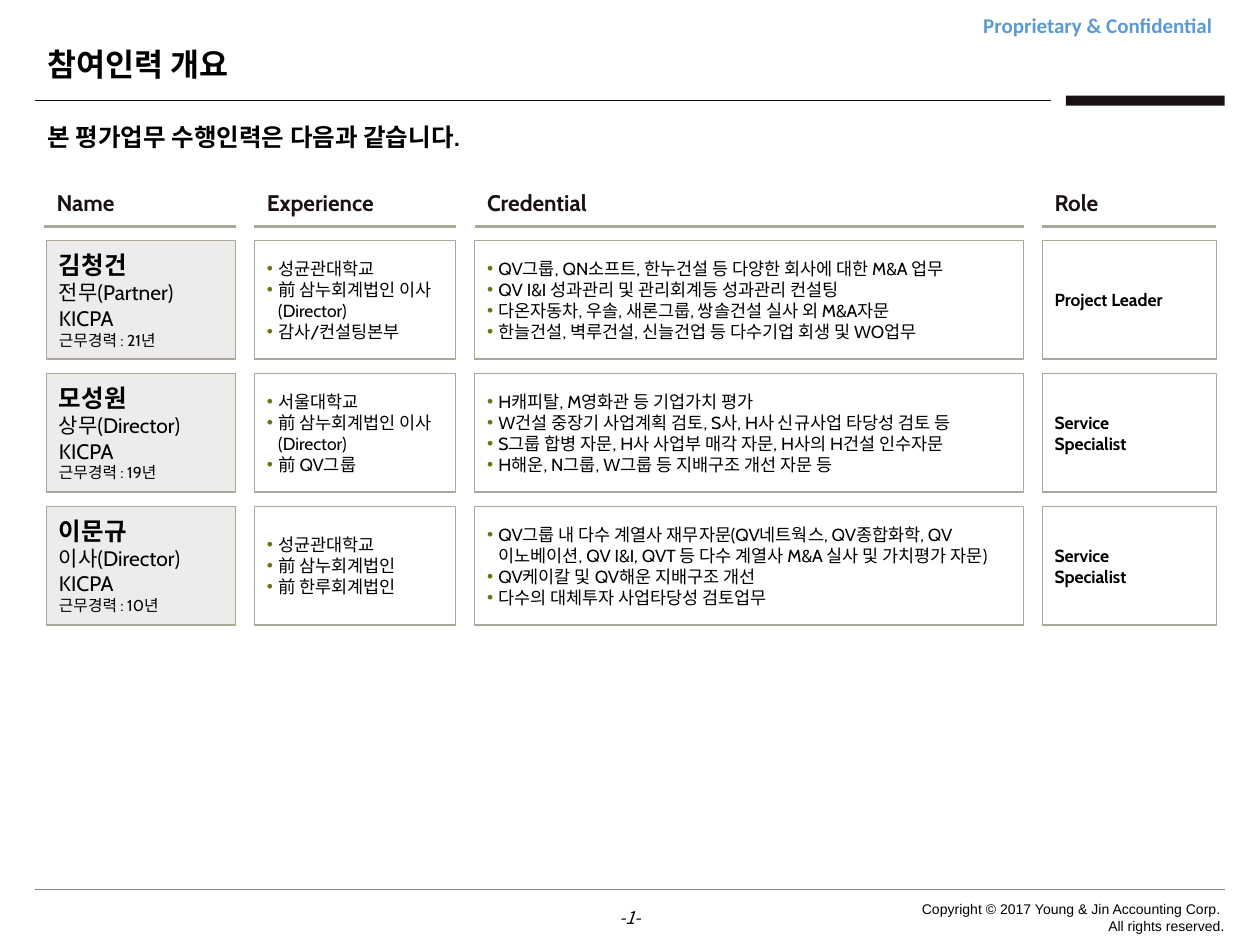
"""Build the slide that introduces the staff taking part in the valuation."""
from lxml.etree import SubElement
from pptx import Presentation
from pptx.dml.color import RGBColor as Rgb
from pptx.enum.shapes import MSO_CONNECTOR as Link, MSO_SHAPE as Form
from pptx.enum.text import MSO_ANCHOR as Anchor, PP_ALIGN as Align
from pptx.oxml.ns import qn
from pptx.util import Cm, Pt

HUE = {"ink": "1B1112", "text": "000000", "blue": "5B9BD5", "edge": "AAA998",
       "pale": "EEECEA", "white": "FFFFFF", "gray": "808080", "dot": "707014"}


def write(shape, rows, hue="text", face="Cabin", align=Align.LEFT,
          anchor=Anchor.MIDDLE, dots=False, wrap=True):
    frame = shape.text_frame
    frame.word_wrap = wrap
    frame.vertical_anchor = anchor
    for i, (text, size, bold) in enumerate(rows):
        para = frame.add_paragraph() if i else frame.paragraphs[0]
        para.text = text
        para.alignment = align
        if dots:
            props = para._p.get_or_add_pPr()
            props.set("marL", str(Cm(0.23)))
            props.set("indent", str(Cm(-0.23)))
            tint = SubElement(props, qn("a:buClr"))
            SubElement(tint, qn("a:srgbClr"), val=HUE["dot"])
            SubElement(props, qn("a:buFont"), typeface="Arial")
            SubElement(props, qn("a:buChar"), char="•")
        font = para.font
        font.name, font.size, font.bold = face, Pt(size), bold
        font.color.rgb = Rgb.from_string(HUE[hue])
    return frame


def rule(left, right, top, hue, width):
    line = slide.shapes.add_connector(
        Link.STRAIGHT, Cm(left), Cm(top), Cm(right), Cm(top))
    line.line.color.rgb = Rgb.from_string(HUE[hue])
    line.line.width = Pt(width)
    SubElement(line._element.spPr, qn("a:effectLst"))


deck = Presentation()
deck.slide_width, deck.slide_height = Cm(25.4), Cm(19.05)
slide = deck.slides.add_slide(deck.slide_layouts[6])
shapes = slide.shapes

rule(0.71, 24.69, 17.93, "gray", 0.75)
rule(0.71, 21.18, 2.03, "ink", 0.5)
bar = shapes.add_shape(Form.RECTANGLE, Cm(21.49), Cm(1.93), Cm(3.2), Cm(0.2))
bar.shadow.inherit = False
bar.fill.solid()
bar.fill.fore_color.rgb = Rgb.from_string(HUE["ink"])
bar.line.fill.background()

mark = shapes.add_textbox(Cm(18.69), Cm(0.13), Cm(6), Cm(0.78))
write(mark, [("Proprietary & Confidential", 12, True)], "blue", "Calibri",
      Align.RIGHT, Anchor.TOP)
legal = shapes.add_textbox(Cm(15.98), Cm(18.16), Cm(8.71), Cm(0.69))
frame = write(legal, [("Copyright © 2017 Young & Jin Accounting Corp. ", 8, False),
                      ("All rights reserved.", 8, False)],
              face="Arial", align=Align.RIGHT, anchor=Anchor.TOP)
frame.margin_left = frame.margin_right = frame.margin_top = frame.margin_bottom = 0
page = shapes.add_textbox(Cm(9.7), Cm(18.16), Cm(6), Cm(0.69))
frame = write(page, [("-1-", 10, False)], face="Noto Sans CJK KR", align=Align.CENTER)
frame.paragraphs[0].font.italic = True

title = shapes.add_textbox(Cm(0.71), Cm(0.76), Cm(18), Cm(1.17))
frame = write(title, [("참여인력 개요", 18, True)])
frame.paragraphs[0].line_spacing = 0.9
lead = shapes.add_textbox(Cm(0.71), Cm(2.34), Cm(24), Cm(0.86))
write(lead, [("본 평가업무 수행인력은 다음과 같습니다.", 14, True)], anchor=Anchor.TOP)

COLS = [("Name", 0.94, 3.81), ("Experience", 5.13, 4.06),
        ("Credential", 9.57, 11.07), ("Role", 21.01, 3.51)]
STAFF = [
    (["김청건", "전무(Partner)", "KICPA", "근무경력 : 21년"],
     ["성균관대학교", "前 삼누회계법인 이사(Director)", "감사/컨설팅본부"],
     ["QV그룹, QN소프트, 한누건설 등 다양한 회사에 대한 M&A 업무",
      "QV I&I 성과관리 및 관리회계등 성과관리 컨설팅",
      "다온자동차, 우솔, 새론그룹, 쌍솔건설 실사 외 M&A자문",
      "한늘건설, 벽루건설, 신늘건업 등 다수기업 회생 및 WO업무"],
     ["Project Leader"]),
    (["모성원", "상무(Director)", "KICPA", "근무경력 : 19년"],
     ["서울대학교", "前 삼누회계법인 이사(Director)", "前 QV그룹"],
     ["H캐피탈, M영화관 등 기업가치 평가",
      "W건설 중장기 사업계획 검토, S사, H사 신규사업 타당성 검토 등",
      "S그룹 합병 자문, H사 사업부 매각 자문, H사의 H건설 인수자문",
      "H해운, N그룹, W그룹 등 지배구조 개선 자문 등"],
     ["Service", "Specialist"]),
    (["이문규", "이사(Director)", "KICPA", "근무경력 : 10년"],
     ["성균관대학교", "前 삼누회계법인", "前 한루회계법인"],
     ["QV그룹 내 다수 계열사 재무자문(QV네트웍스, QV종합화학, QV이노베이션, "
      "QV I&I, QVT 등 다수 계열사 M&A 실사 및 가치평가 자문)",
      "QV케이칼 및 QV해운 지배구조 개선",
      "다수의 대체투자 사업타당성 검토업무"],
     ["Service", "Specialist"]),
]

for j, (name, left, width) in enumerate(COLS):
    start = left if j else 0.89
    head = shapes.add_textbox(Cm(start), Cm(3.63), Cm(width), Cm(0.91))
    write(head, [(name, 12.9, True)], "ink")
    rule(start, left + width, 4.57, "edge", 1.5)
    for i, person in enumerate(STAFF):
        cell = shapes.add_shape(Form.RECTANGLE, Cm(left), Cm(4.85 + 2.68 * i),
                                Cm(width), Cm(2.39))
        cell.shadow.inherit = False
        cell.fill.solid()
        cell.fill.fore_color.rgb = Rgb.from_string(HUE["white" if j else "pale"])
        cell.line.color.rgb = Rgb.from_string(HUE["edge"])
        cell.line.width = Pt(0.75)
        sizes = [10] * 4 if j else [14, 12, 12, 9]
        rows = [(text, size, j == 3 or size == 14)
                for text, size in zip(person[j], sizes)]
        write(cell, rows, dots=j in (1, 2), wrap=j in (1, 2))

deck.save("out.pptx")
